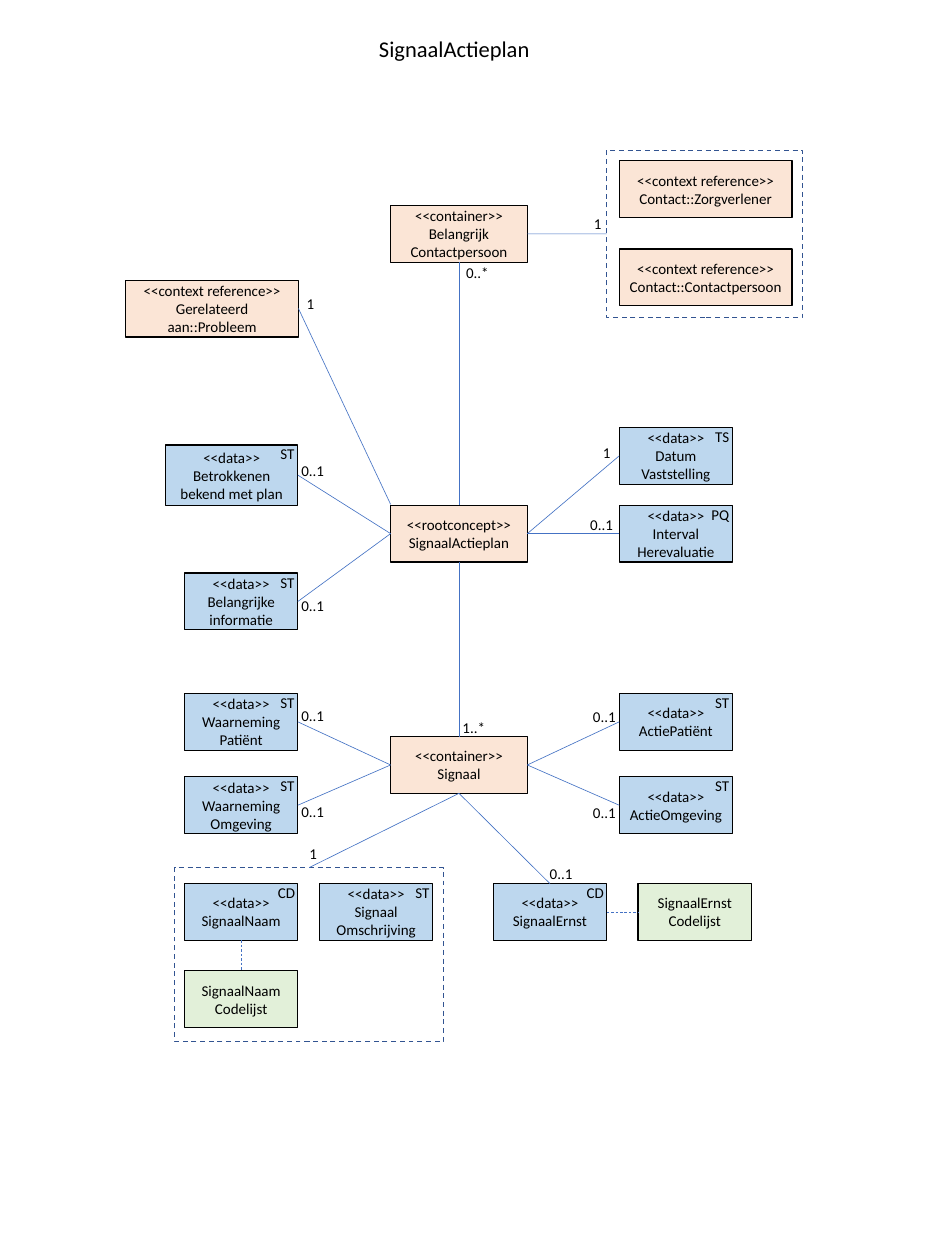
from dataclasses import dataclass

from lxml.etree import SubElement
from pptx import Presentation
from pptx.dml.color import RGBColor as RGB
from pptx.enum.dml import MSO_LINE
from pptx.enum.shapes import MSO_CONNECTOR, MSO_SHAPE
from pptx.enum.text import MSO_ANCHOR as ANCHOR, MSO_AUTO_SIZE, PP_ALIGN as ALIGN
from pptx.oxml.ns import qn
from pptx.util import Pt


@dataclass(frozen=True)
class Theme:
    font: str = "Calibri"
    body: int = 12
    title: int = 18
    ink: RGB = RGB(0x00, 0x00, 0x00)
    concept: RGB = RGB(0xFB, 0xE5, 0xD6)
    data: RGB = RGB(0xBD, 0xD7, 0xEE)
    codelist: RGB = RGB(0xE2, 0xF0, 0xD9)
    group: RGB = RGB(0x32, 0x54, 0x91)
    link: RGB = RGB(0x44, 0x72, 0xC4)


THEME = Theme()
TOP, LEFT, BOTTOM, RIGHT = range(4)
BOX_H, LABEL_H = 45.4, 21.6
DATA_W, CORE_W, REF_W = 90.7, 109.4, 138.2
LEFT_X, CORE_X, RIGHT_X = 147.6, 312.5, 495.4
LABEL_W = {"ST": 26, "TS": 26, "CD": 28, "PQ": 29,
           "1": 21, "0..1": 33, "0..*": 33, "1..*": 33}

BOXES = {
    "root": ("<<rootconcept>>\nSignaalActieplan", CORE_X, 404.2, CORE_W, THEME.concept),
    "signal": ("<<container>>\nSignaal", CORE_X, 589.3, CORE_W, THEME.concept),
    "contact": ("<<container>>\nBelangrijk\nContactpersoon", CORE_X, 164.4, CORE_W, THEME.concept),
    "caregiver": ("<<context reference>>\nContact::Zorgverlener", RIGHT_X, 128.6, REF_W, THEME.concept),
    "person": ("<<context reference>>\nContact::Contactpersoon", RIGHT_X, 199.2, REF_W, THEME.concept),
    "problem": ("<<context reference>>\nGerelateerd aan::Probleem", 100.6, 224.2, REF_W, THEME.concept),
    "name_codes": ("SignaalNaam\nCodelijst", LEFT_X, 776.6, DATA_W, THEME.codelist),
    "severity_codes": ("SignaalErnst\nCodelijst", 510.5, 706.9, DATA_W, THEME.codelist),
}

DATA_BOXES = {
    "informed": ("Betrokkenen bekend met plan", "ST", 132.5, 356, 105.8, 48.2),
    "information": ("Belangrijke informatie", "ST", LEFT_X, 458.5, DATA_W, BOX_H),
    "seen_patient": ("Waarneming\nPatiënt", "ST", LEFT_X, 554.8, DATA_W, BOX_H),
    "seen_others": ("Waarneming\nOmgeving", "ST", LEFT_X, 621.5, DATA_W, BOX_H),
    "name": ("SignaalNaam", "CD", LEFT_X, 706.9, DATA_W, BOX_H),
    "description": ("Signaal\nOmschrijving", "ST", 255.6, 706.9, DATA_W, BOX_H),
    "severity": ("SignaalErnst", "CD", 394.6, 706.9, DATA_W, BOX_H),
    "date": ("Datum Vaststelling", "TS", RIGHT_X, 342, DATA_W, BOX_H),
    "interval": ("Interval\nHerevaluatie", "PQ", RIGHT_X, 404.2, DATA_W, BOX_H),
    "act_patient": ("ActiePatiënt", "ST", RIGHT_X, 554.8, DATA_W, BOX_H),
    "act_others": ("ActieOmgeving", "ST", RIGHT_X, 621.5, DATA_W, BOX_H),
}

GROUPS = {
    "signal_group": (139.7, 694.1, 215.3, 139),
    "contact_group": (485.3, 120.2, 157, 133.9),
}

LINKS = [
    ("contact", RIGHT, "contact_group", LEFT),
    ("root", TOP, "contact", BOTTOM),
    ("root", BOTTOM, "signal", TOP),
    ("root", LEFT, "informed", RIGHT),
    ("root", LEFT, "information", RIGHT),
    ("root", RIGHT, "date", LEFT),
    ("root", RIGHT, "interval", LEFT),
    ("signal", LEFT, "seen_patient", RIGHT),
    ("signal", LEFT, "seen_others", RIGHT),
    ("signal", RIGHT, "act_patient", LEFT),
    ("signal", RIGHT, "act_others", LEFT),
    ("signal", BOTTOM, "signal_group", TOP),
    ("signal", BOTTOM, "severity", TOP),
]
CODE_LINKS = [
    ("name", BOTTOM, "name_codes", TOP),
    ("severity", RIGHT, "severity_codes", LEFT),
]

MULTIPLICITIES = [
    ("1", 468, 168.5), ("0..*", 365.8, 207.4), ("1", 238.3, 231.8),
    ("1", 475.2, 351.4), ("0..1", 465.1, 409),
    ("0..1", 234, 365.8), ("0..1", 234, 473.8),
    ("0..1", 234, 561.6), ("0..1", 234, 638.6),
    ("0..1", 467.3, 562.3), ("0..1", 467.3, 639.4),
    ("1..*", 362.9, 571), ("1", 240.5, 672.5), ("0..1", 432.7, 688.3),
]


def write(tf, text, size=THEME.body, align=ALIGN.LEFT, anchor=ANCHOR.TOP, wrap=False):
    tf.word_wrap = wrap
    tf.vertical_anchor = anchor
    for i, line in enumerate(text.split("\n")):
        p = tf.add_paragraph() if i else tf.paragraphs[0]
        p.alignment = align
        r = p.add_run()
        r.text = line
        r.font.name = THEME.font
        r.font.size = Pt(size)
        r.font.color.rgb = THEME.ink


def add_title(s, text, x, y, w, h):
    sp = s.shapes.title
    sp.left, sp.top, sp.width, sp.height = Pt(x), Pt(y), Pt(w), Pt(h)
    write(sp.text_frame, text, size=THEME.title)


def add_rect(s, x, y, w, h, color):
    sp = s.shapes.add_shape(MSO_SHAPE.RECTANGLE, Pt(x), Pt(y), Pt(w), Pt(h))
    sp.shadow.inherit = False
    sp.line.color.rgb = color
    sp.line.width = Pt(1)
    return sp


def add_box(s, text, x, y, w, fill, h=BOX_H):
    sp = add_rect(s, x, y, w, h, THEME.ink)
    sp.fill.solid()
    sp.fill.fore_color.rgb = fill
    write(sp.text_frame, text, align=ALIGN.CENTER, anchor=ANCHOR.MIDDLE, wrap=True)
    return sp


def add_group(s, x, y, w, h):
    sp = add_rect(s, x, y, w, h, THEME.group)
    sp.fill.background()
    sp.line.dash_style = MSO_LINE.DASH
    return sp


def add_label(s, text, x, y):
    sp = s.shapes.add_textbox(Pt(x), Pt(y), Pt(LABEL_W[text]), Pt(LABEL_H))
    write(sp.text_frame, text)
    sp.text_frame.auto_size = MSO_AUTO_SIZE.SHAPE_TO_FIT_TEXT


def add_data_box(s, text, kind, x, y, w, h):
    sp = add_box(s, f"<<data>>\n{text}", x, y, w, THEME.data, h)
    add_label(s, kind, x + w + 5 - LABEL_W[kind], y - 3.5)
    return sp


def add_link(s, start, start_side, end=None, end_side=None, point=(0, 0), dashed=False):
    x, y = Pt(point[0]), Pt(point[1])
    c = s.shapes.add_connector(MSO_CONNECTOR.STRAIGHT, x, y, x, y)
    c.begin_connect(start, start_side)
    if end is not None:
        c.end_connect(end, end_side)
    c.line.color.rgb = THEME.link
    c.line.width = Pt(0.5)
    if dashed:
        c.line.dash_style = MSO_LINE.DASH
    SubElement(c._element.spPr, qn("a:effectLst"))


def main():
    prs = Presentation()
    prs.slide_width, prs.slide_height = Pt(756), Pt(1008)
    s = prs.slides.add_slide(prs.slide_layouts[5])
    add_title(s, "SignaalActieplan", 296, 24.5, 136, 29)

    nodes = {key: add_group(s, *args) for key, args in GROUPS.items()}
    nodes |= {key: add_box(s, *args) for key, args in BOXES.items()}
    nodes |= {key: add_data_box(s, *args) for key, args in DATA_BOXES.items()}

    for links, dashed in ((LINKS, False), (CODE_LINKS, True)):
        for start, start_side, end, end_side in links:
            add_link(s, nodes[start], start_side, nodes[end], end_side, dashed=dashed)
    add_link(s, nodes["problem"], RIGHT, point=(CORE_X, 403.5))

    for label in MULTIPLICITIES:
        add_label(s, *label)
    prs.save("out.pptx")


if __name__ == "__main__":
    main()
